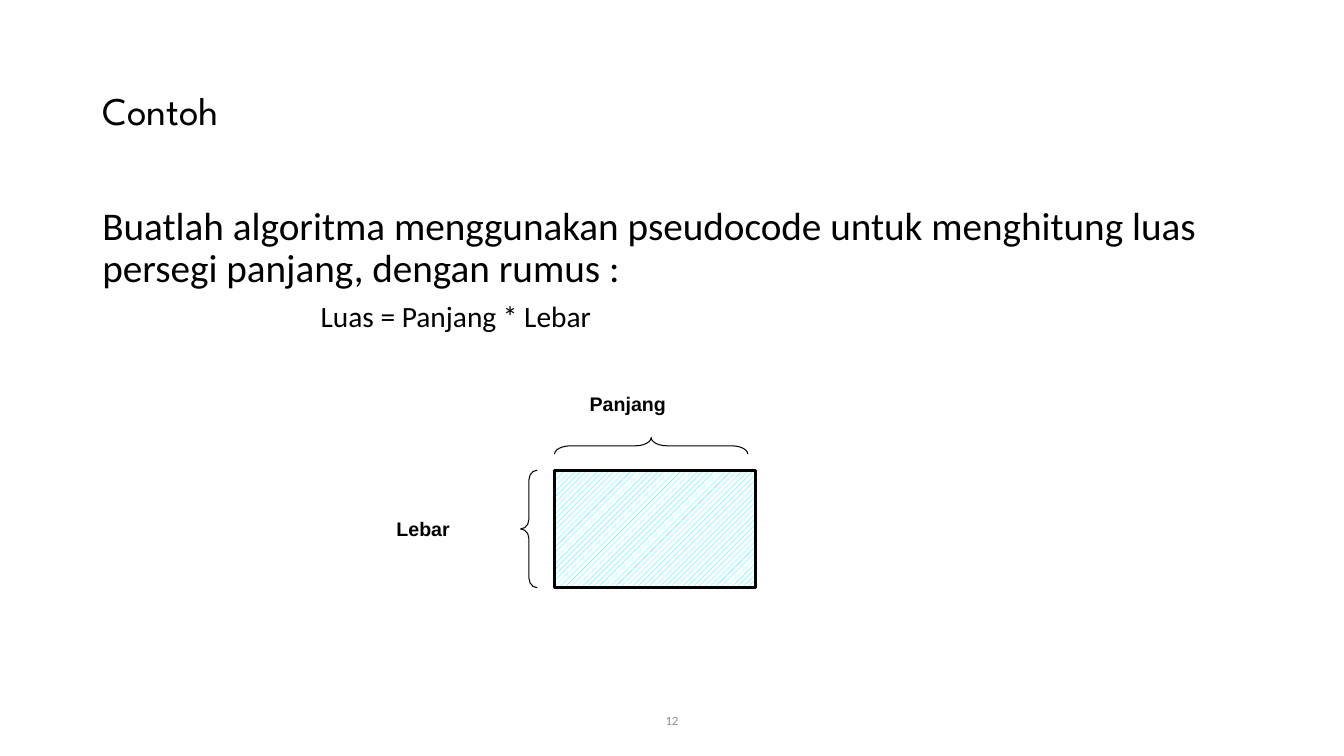
from pptx import Presentation
from pptx.dml.color import RGBColor as RGB
from pptx.enum.dml import MSO_PATTERN as PAT
from pptx.enum.shapes import MSO_SHAPE as SHAPE
from pptx.enum.text import MSO_ANCHOR as ANCHOR, PP_ALIGN as ALIGN
from pptx.util import Cm, Pt

COLORS = {"ink": "000000", "gray": "8C8C8C", "cyan": "00FFFF", "white": "FFFFFF"}


def style(par, size, face, color="ink", bold=False):
    """Format every run of a paragraph."""
    for run in par.runs:
        font = run.font
        font.size, font.name, font.bold = Pt(size), face, bold
        font.color.rgb = RGB.from_string(COLORS[color])


def add_box(left, top, width, height, text):
    """Add a wrapping text box and return its frame."""
    box = slide.shapes.add_textbox(Cm(left), Cm(top), Cm(width), Cm(height))
    frame = box.text_frame
    frame.word_wrap = True
    frame.text = text
    return frame


deck = Presentation()
deck.slide_width, deck.slide_height = Cm(33.87), Cm(19.05)
slide = deck.slides.add_slide(deck.slide_layouts[5])

# Title
title = slide.shapes.title
title.left, title.top, title.width, title.height = Cm(2.33), Cm(1.01), Cm(29.21), Cm(3.68)
frame = title.text_frame
frame.text = "Contoh"
frame.vertical_anchor = ANCHOR.MIDDLE
head = frame.paragraphs[0]
head.alignment, head.line_spacing = ALIGN.LEFT, 0.9
style(head, 28, "League Spartan")

# Task and formula
frame = add_box(2.33, 5.08, 29.21, 12.09,
                "Buatlah algoritma menggunakan pseudocode untuk menghitung luas "
                "persegi panjang, dengan rumus :\nLuas = Panjang * Lebar")
for par, size in zip(frame.paragraphs, (28, 21)):
    par.line_spacing, par.space_before = 0.9, Pt(7.5)
    style(par, size, "Calibri")
frame.paragraphs[1]._p.get_or_add_pPr().set("marL", str(Cm(5.5)))

# Rectangle with a brace along its width and its height
shapes = [
    (SHAPE.RECTANGLE, 13.97, 11.85, 5.08, 2.96, 0, 2.25, None),
    (SHAPE.LEFT_BRACE, 13.12, 11.85, 0.42, 2.96, 0, 0.75, 0.58),
    (SHAPE.LEFT_BRACE, 16.2, 8.8, 0.42, 4.87, 90, 0.75, 0.96),
]
for kind, left, top, width, height, turn, line, bend in shapes:
    shape = slide.shapes.add_shape(kind, Cm(left), Cm(top), Cm(width), Cm(height))
    shape.shadow.inherit = False
    shape.rotation = turn
    shape.line.width = Pt(line)
    shape.line.color.rgb = RGB.from_string(COLORS["ink"])
    if bend:
        shape.fill.background()
        shape.adjustments[0] = bend
    else:
        shape.fill.patterned()
        shape.fill.pattern = PAT.WIDE_UPWARD_DIAGONAL
        shape.fill.fore_color.rgb = RGB.from_string(COLORS["cyan"])
        shape.fill.back_color.rgb = RGB.from_string(COLORS["white"])

for text, left, top, width in (("Lebar", 9.74, 12.91, 2.75), ("Panjang", 14.61, 9.74, 3.39)):
    frame = add_box(left, top, width, 0.85, text)
    style(frame.paragraphs[0], 14, "Arial", bold=True)

# Page number
frame = add_box(11.22, 17.66, 11.43, 1.01, "12")
frame.vertical_anchor = ANCHOR.MIDDLE
frame.paragraphs[0].alignment = ALIGN.CENTER
style(frame.paragraphs[0], 9, "Calibri", "gray")

deck.save("out.pptx")
